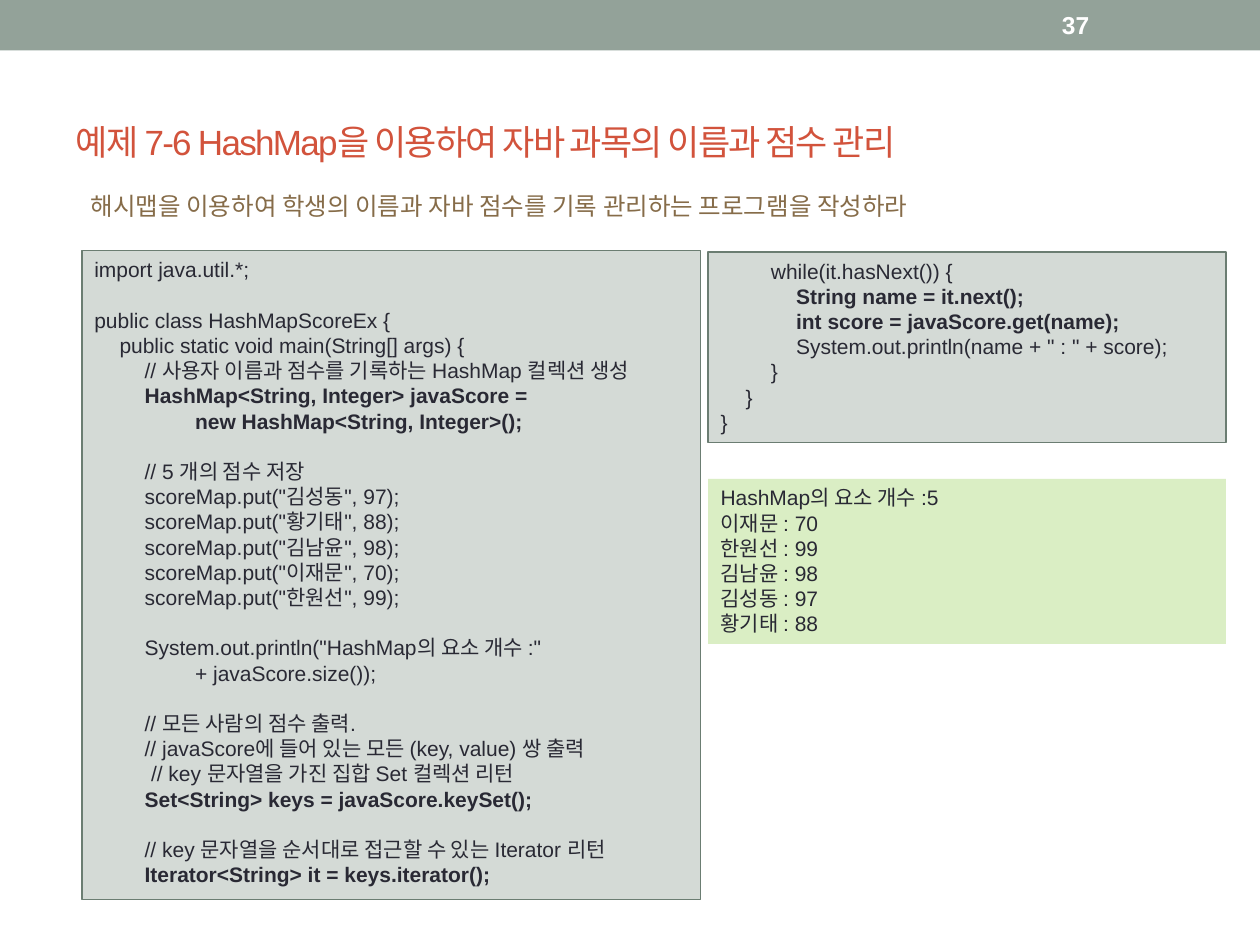
from pptx import Presentation
from pptx.dml.color import RGBColor
from pptx.enum.shapes import MSO_SHAPE
from pptx.enum.text import MSO_ANCHOR, PP_ALIGN
from pptx.util import Inches, Pt

COLORS = {
    "band": "93A299",
    "title": "D2533C",
    "subtitle": "866C49",
    "code_fill": "D4DAD6",
    "code_line": "6B7D72",
    "result_fill": "DAEEC4",
    "ink": "292934",
    "white": "FFFFFF",
}
FONT = "Arial"
LINE_PITCH = 14.4
INDENT_STEP = 0.2

SCORES = [("김성동", 97), ("황기태", 88), ("김남윤", 98), ("이재문", 70), ("한원선", 99)]
RESULT_ORDER = ["이재문", "한원선", "김남윤", "김성동", "황기태"]

SETUP_CODE = [
    [(0, "import java.util.*;", False)],
    [
        (0, "public class HashMapScoreEx {", False),
        (1, "public static void main(String[] args) {", False),
        (2, "// 사용자 이름과 점수를 기록하는 HashMap 컬렉션 생성", False),
        (2, "HashMap<String, Integer> javaScore =", True),
        (4, "new HashMap<String, Integer>();", True),
    ],
    [(2, "// 5 개의 점수 저장", False)]
    + [(2, f'scoreMap.put("{name}", {score});', False) for name, score in SCORES],
    [
        (2, 'System.out.println("HashMap의 요소 개수 :"', False),
        (4, "+ javaScore.size());", False),
    ],
    [
        (2, "// 모든 사람의 점수 출력.", False),
        (2, "// javaScore에 들어 있는 모든 (key, value) 쌍 출력", False),
        (2.25, "// key 문자열을 가진 집합 Set 컬렉션 리턴", False),
        (2, "Set<String> keys = javaScore.keySet();", True),
    ],
    [
        (2, "// key 문자열을 순서대로 접근할 수 있는 Iterator 리턴", False),
        (2, "Iterator<String> it = keys.iterator();", True),
    ],
]

LOOP_CODE = [[
    (2, "while(it.hasNext()) {", False),
    (3, "String name = it.next();", True),
    (3, "int score = javaScore.get(name);", True),
    (3, 'System.out.println(name + " : " + score);', False),
    (2, "}", False),
    (1, "}", False),
    (0, "}", False),
]]

RESULT = [
    [(0, "HashMap의 요소 개수 :5", False)]
    + [(0, f"{name} : {dict(SCORES)[name]}", False) for name in RESULT_ORDER]
]


def color(name):
    return RGBColor.from_string(COLORS[name])


def write(paragraph, text, size=12, ink="ink", bold=False):
    paragraph.alignment = PP_ALIGN.LEFT
    run = paragraph.add_run()
    run.text = text
    run.font.name = FONT
    run.font.size = Pt(size)
    run.font.bold = bold
    run.font.color.rgb = color(ink)
    return run


def add_panel(slide, box, fill, line=None):
    panel = slide.shapes.add_shape(MSO_SHAPE.RECTANGLE, *map(Inches, box))
    panel.shadow.inherit = False
    panel.fill.solid()
    panel.fill.fore_color.rgb = color(fill)
    if line:
        panel.line.color.rgb = color(line)
        panel.line.width = Pt(0.75)
    else:
        panel.line.fill.background()
    return panel


def add_label(slide, box, text, anchor=MSO_ANCHOR.TOP, **style):
    frame = slide.shapes.add_textbox(*map(Inches, box)).text_frame
    frame.word_wrap = True
    frame.vertical_anchor = anchor
    write(frame.paragraphs[0], text, **style)


def add_header(slide, box):
    left, top, width, height = box
    add_panel(slide, box, "band")
    add_label(slide, (left + 8.33, top + 0.02, 1.17, height - 0.04), "37",
              anchor=MSO_ANCHOR.MIDDLE, size=14, ink="white", bold=True)


def add_title(slide, box, text):
    title = slide.shapes.title
    title.left, title.top, title.width, title.height = map(Inches, box)
    title.text_frame.vertical_anchor = MSO_ANCHOR.MIDDLE
    run = write(title.text_frame.paragraphs[0], text, size=20, ink="title")
    run.font._element.set("spc", "-100")


def add_listing(slide, box, blocks, fill, line=None):
    frame = add_panel(slide, box, fill, line).text_frame
    frame.word_wrap = True
    frame.vertical_anchor = MSO_ANCHOR.TOP
    paragraph = frame.paragraphs[0]
    for block_index, block in enumerate(blocks):
        for line_index, (depth, text, bold) in enumerate(block):
            if block_index or line_index:
                paragraph = frame.add_paragraph()
            paragraph.line_spacing = Pt(LINE_PITCH)
            if block_index and not line_index:
                paragraph.space_before = Pt(LINE_PITCH)
            properties = paragraph._p.get_or_add_pPr()
            properties.set("marL", str(Inches(depth * INDENT_STEP)))
            properties.set("indent", "0")
            write(paragraph, text, bold=bold)


def main():
    deck = Presentation()
    deck.slide_width, deck.slide_height = Inches(10), Inches(7.5)
    slide = deck.slides.add_slide(deck.slide_layouts[5])
    add_header(slide, (0, 0, 10, 0.4))
    add_title(slide, (0.5, 0.58, 9, 1.08),
              "예제 7-6 HashMap을 이용하여 자바 과목의 이름과 점수 관리")
    add_label(slide, (0.62, 1.47, 8.71, 0.34),
              "해시맵을 이용하여 학생의 이름과 자바 점수를 기록 관리하는 프로그램을 작성하라",
              size=14, ink="subtitle")
    add_listing(slide, (0.65, 1.99, 4.91, 5.15), SETUP_CODE, "code_fill", "code_line")
    add_listing(slide, (5.62, 2, 4.11, 1.51), LOOP_CODE, "code_fill", "code_line")
    add_listing(slide, (5.62, 3.8, 4.11, 1.31), RESULT, "result_fill")
    deck.save("out.pptx")


if __name__ == "__main__":
    main()
